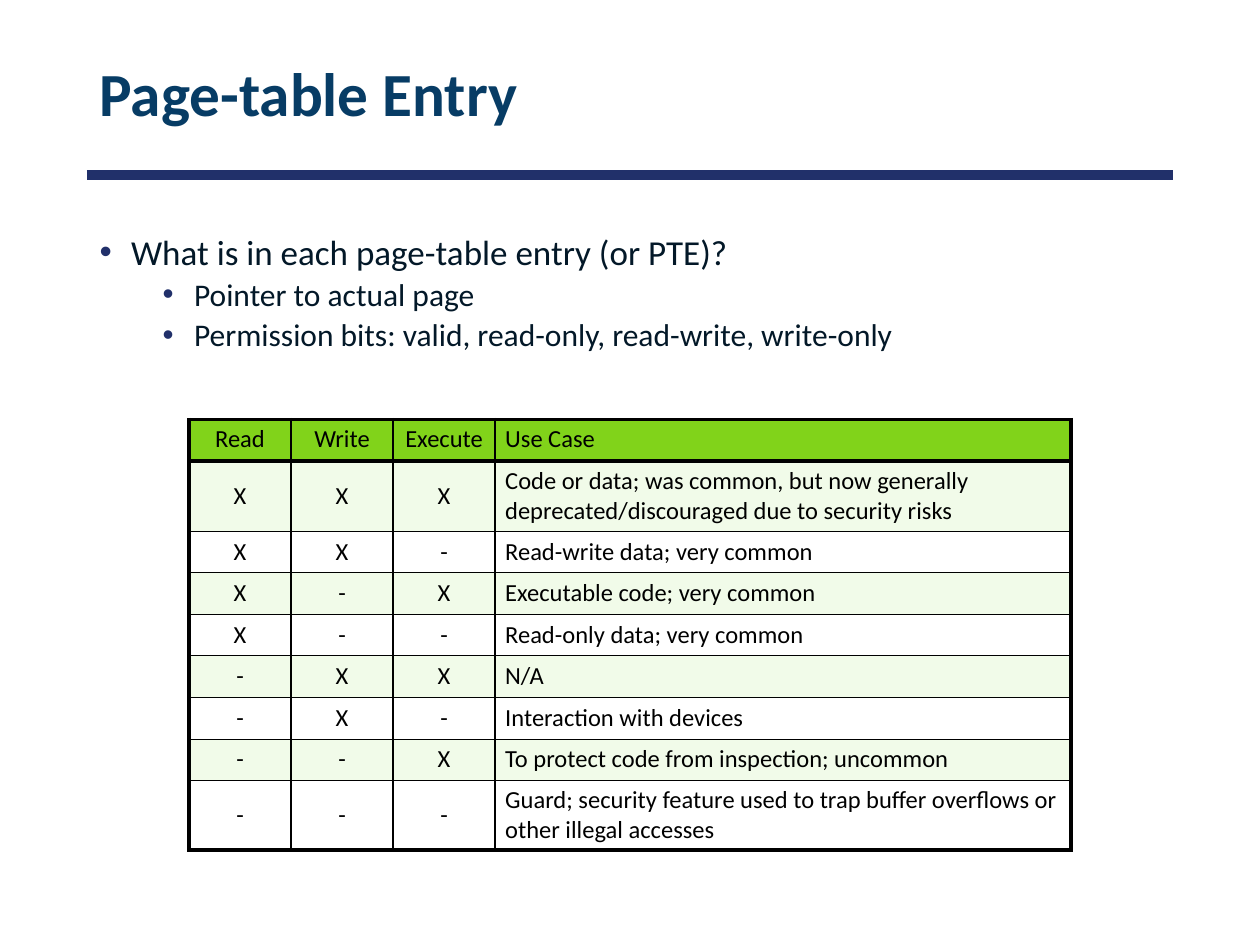
from lxml import etree
from pptx import Presentation
from pptx.dml.color import RGBColor
from pptx.enum.shapes import MSO_CONNECTOR
from pptx.enum.text import MSO_ANCHOR, MSO_AUTO_SIZE, PP_ALIGN
from pptx.oxml.ns import qn
from pptx.util import Inches, Pt

LEFT, CENTER = PP_ALIGN.LEFT, PP_ALIGN.CENTER
TOP, MIDDLE = MSO_ANCHOR.TOP, MSO_ANCHOR.MIDDLE
STRAIGHT, NO_FIT = MSO_CONNECTOR.STRAIGHT, MSO_AUTO_SIZE.NONE

NAVY, BLUE, INK, BLACK = "21306A", "073C65", "031828", "000000"
GREEN, PALE, WHITE = "81D31A", "F1FBE9", "FFFFFF"
THICK, MID, THIN = 2.25, 1.5, 0.25

POINTS = [
    (0, "What is in each page-table entry (or PTE)?"),
    (1, "Pointer to actual page"),
    (1, "Permission bits: valid, read-only, read-write, write-only"),
]
ROWS = [
    ("Read", "Write", "Execute", "Use Case"),
    ("X", "X", "X", "Code or data; was common, but now generally "
                    "deprecated/discouraged due to security risks"),
    ("X", "X", "-", "Read-write data; very common"),
    ("X", "-", "X", "Executable code; very common"),
    ("X", "-", "-", "Read-only data; very common"),
    ("-", "X", "X", "N/A"),
    ("-", "X", "-", "Interaction with devices"),
    ("-", "-", "X", "To protect code from inspection; uncommon"),
    ("-", "-", "-", "Guard; security feature used to trap buffer "
                    "overflows or other illegal accesses"),
]
WIDTHS = [0.81, 0.81, 0.81, 4.57]
LOW, HIGH = 0.33, 0.55
TALL = (1, 8)


def color(code):
    return RGBColor.from_string(code)


def add_tag(parent, tag, **attrs):
    node = etree.SubElement(parent, qn(tag))
    for key, value in attrs.items():
        node.set(key, str(value))
    return node


class Deck:
    font = "Calibri"

    def __init__(self):
        self.show = Presentation()
        self.show.slide_width = Inches(10)
        self.show.slide_height = Inches(7.5)
        self.slide = self.show.slides.add_slide(self.show.slide_layouts[1])

    def add_text(self, para, text, size, ink, bold=False):
        run = para.add_run()
        run.text = text
        run.font.name = self.font
        run.font.size = Pt(size)
        run.font.bold = bold
        run.font.color.rgb = color(ink)

    def place(self, shape, left, top, width, height, anchor):
        shape.left, shape.top = Inches(left), Inches(top)
        shape.width, shape.height = Inches(width), Inches(height)
        frame = shape.text_frame
        frame.auto_size = NO_FIT
        frame.word_wrap = True
        frame.vertical_anchor = anchor
        return frame

    def title(self, text, *box):
        frame = self.place(self.slide.shapes.title, *box, MIDDLE)
        para = frame.paragraphs[0]
        para.alignment = LEFT
        para.line_spacing = 0.9
        self.add_text(para, text, 35, BLUE, True)

    def rule(self, left, right, y):
        line = self.slide.shapes.add_connector(
            STRAIGHT, Inches(left), Inches(y), Inches(right), Inches(y))
        line.line.color.rgb = color(NAVY)
        line.line.width = Pt(6)
        add_tag(line.element.spPr, "a:effectLst")

    def bullets(self, points, *box):
        frame = self.place(self.slide.placeholders[1], *box, TOP)
        for i, (level, text) in enumerate(points):
            para = frame.add_paragraph() if i else frame.paragraphs[0]
            para.level = level
            props = para._p.get_or_add_pPr()
            props.set("marL", str(Inches(0.25 + level * 0.5)))
            props.set("indent", str(Inches(-0.25)))
            add_tag(add_tag(props, "a:buClr"), "a:srgbClr", val=NAVY)
            add_tag(props, "a:buFont", typeface="Arial")
            add_tag(props, "a:buChar", char="•")
            para.line_spacing = 0.84
            para.space_before = Pt(5 if i else 0)
            self.add_text(para, text, 20 - 2 * level, INK)

    def border(self, cell, sides):
        props = cell._tc.get_or_add_tcPr()
        for side, width in zip("LRTB", sides):
            line = add_tag(props, "a:ln" + side, w=Pt(width))
            add_tag(add_tag(line, "a:solidFill"), "a:srgbClr", val=BLACK)

    def table(self, rows, left, top):
        heights = [HIGH if r in TALL else LOW for r in range(len(rows))]
        grid = self.slide.shapes.add_table(
            len(rows), len(WIDTHS), Inches(left), Inches(top),
            Inches(sum(WIDTHS)), Inches(sum(heights))).table
        for col, width in zip(grid.columns, WIDTHS):
            col.width = Inches(width)
        last_row, last_col = len(rows) - 1, len(WIDTHS) - 1
        for r, row in enumerate(rows):
            grid.rows[r].height = Inches(heights[r])
            for c, text in enumerate(row):
                cell = grid.cell(r, c)
                cell.margin_left = cell.margin_right = Inches(0.08)
                cell.margin_top = cell.margin_bottom = Inches(0.04)
                cell.vertical_anchor = MIDDLE if r else TOP
                # Thick frame and header line, lighter lines inside
                self.border(cell, (
                    MID if c else THICK,
                    THICK if c == last_col else MID,
                    THICK if r < 2 else THIN,
                    THICK if r in (0, last_row) else THIN))
                cell.fill.solid()
                shade = (PALE if r % 2 else WHITE) if r else GREEN
                cell.fill.fore_color.rgb = color(shade)
                para = cell.text_frame.paragraphs[0]
                para.alignment = LEFT if c == last_col else CENTER
                self.add_text(para, text, 14, BLACK)


def main():
    deck = Deck()
    # Heading
    deck.rule(0.69, 9.31, 1.39)
    deck.title("Page-table Entry", 0.69, 0.23, 8.62, 1.08)
    # Bullet list
    deck.bullets(POINTS, 0.69, 1.83, 8.62, 5.43)
    # Permission table
    deck.table(ROWS, 1.5, 3.33)
    deck.show.save("out.pptx")


if __name__ == "__main__":
    main()
